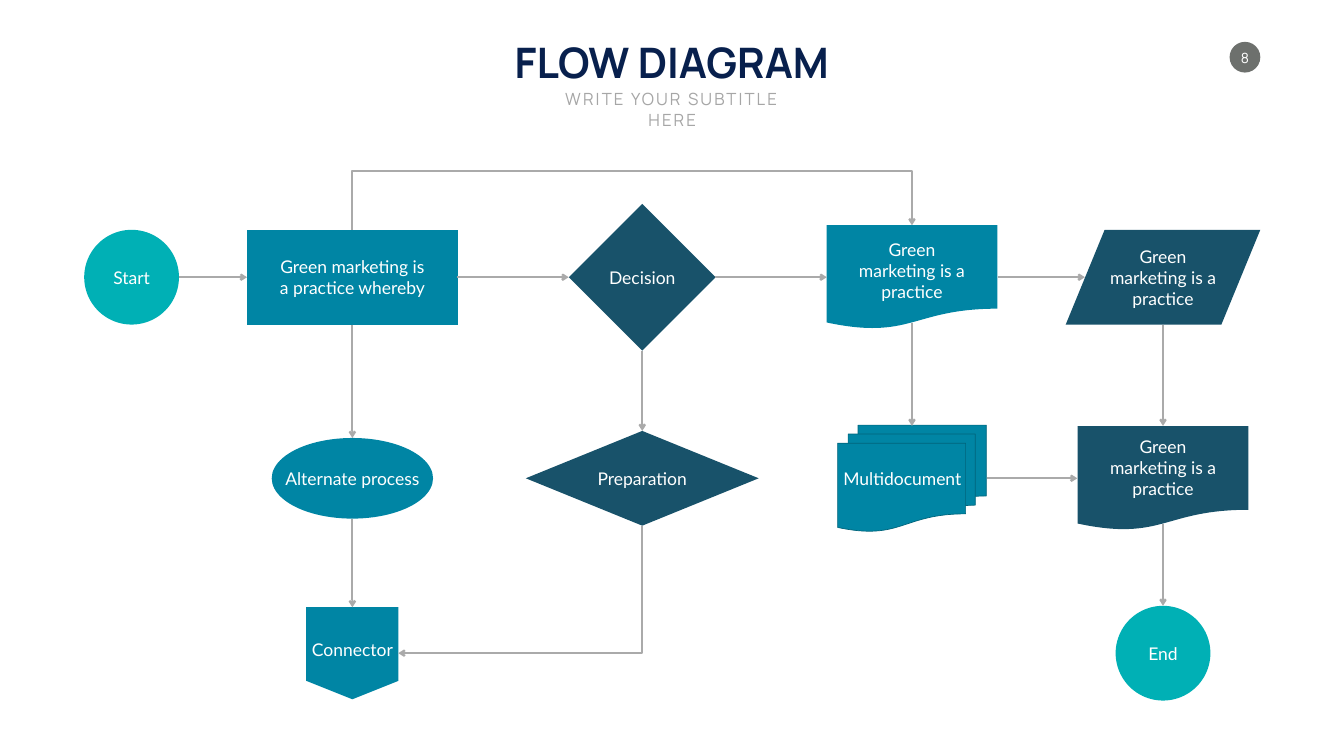
from lxml import etree
from pptx import Presentation
from pptx.dml.color import RGBColor
from pptx.enum.shapes import MSO_CONNECTOR, MSO_SHAPE
from pptx.enum.text import MSO_ANCHOR, MSO_AUTO_SIZE, PP_ALIGN
from pptx.oxml.ns import qn
from pptx.util import Emu, Pt

SCALE = 9144
TITLE_ONLY = 5

CIRCLE = MSO_SHAPE.FLOWCHART_CONNECTOR
DECISION = MSO_SHAPE.FLOWCHART_DECISION
DOCUMENT = MSO_SHAPE.FLOWCHART_DOCUMENT
MULTIDOCUMENT = MSO_SHAPE.FLOWCHART_MULTIDOCUMENT
PROCESS = MSO_SHAPE.FLOWCHART_PROCESS
OFFPAGE = MSO_SHAPE.FLOWCHART_OFFPAGE_CONNECTOR
DATA = MSO_SHAPE.FLOWCHART_DATA
OVAL = MSO_SHAPE.OVAL
STRAIGHT = MSO_CONNECTOR.STRAIGHT
ELBOW = MSO_CONNECTOR.ELBOW
TOP = MSO_ANCHOR.TOP
MIDDLE = MSO_ANCHOR.MIDDLE
CENTER = PP_ALIGN.CENTER
GROW = MSO_AUTO_SIZE.SHAPE_TO_FIT_TEXT

WHITE = RGBColor(0xFF, 0xFF, 0xFF)
NAVY = RGBColor(0x08, 0x20, 0x4D)
SUBTITLE_GRAY = RGBColor(0xA6, 0xA6, 0xA6)
ARROW_GRAY = RGBColor(0xAA, 0xAA, 0xAA)
BADGE_GRAY = RGBColor(0x6D, 0x70, 0x6D)
TURQUOISE = RGBColor(0x00, 0xB0, 0xB5)
BLUE = RGBColor(0x00, 0x85, 0xA4)
BLUE_EDGE = RGBColor(0x00, 0x64, 0x7B)
DEEP_BLUE = RGBColor(0x18, 0x52, 0x6A)

COLUMNS = (94, 532, 1107, 1642, 2140)
ROWS = (210, 609, 956)
PHRASE = "Green marketing is a practice"

# preset, column, row, size, colour, text, label size, label shift
NODES = (
    (CIRCLE, 0, 0, (188, 188), TURQUOISE, "Start", (94, 52), (0, 0)),
    (DECISION, 2, 0, (291, 291), DEEP_BLUE, "Decision", (194, 52), (0, 0)),
    (DECISION, 2, 1, (462, 188), DEEP_BLUE, "Preparation", (291, 52), (0, 0)),
    (DOCUMENT, 3, 0, (339, 207), BLUE, PHRASE, (261, 136), (0, -14)),
    (MULTIDOCUMENT, 3, 1, (295, 211), BLUE, "Multidocument", (261, 52), (-19, 0)),
    (PROCESS, 1, 0, (418, 188), BLUE, "Green marketing is a practice whereby",
     (323, 94), (0, 0)),
    (CIRCLE, 1, 1, (320, 160), BLUE, "Alternate process", (291, 52), (0, 0)),
    (OFFPAGE, 1, 2, (183, 183), BLUE, "Connector", (194, 52), (0, -7)),
    (DATA, 4, 0, (386, 188), DEEP_BLUE, PHRASE, (261, 136), (0, 0)),
    (DOCUMENT, 4, 1, (339, 207), DEEP_BLUE, PHRASE, (261, 136), (0, -22)),
    (CIRCLE, 4, 2, (188, 188), TURQUOISE, "End", (81, 52), (0, 0)),
)
DOWN_ARROWS = ((1, 304, 529), (1, 689, 865), (2, 356, 515),
               (3, 300, 505), (4, 304, 505), (4, 699, 862))
RIGHT_ARROWS = ((0, 188, 323), (0, 740, 961), (0, 1252, 1473),
                (0, 1812, 1985), (1, 1790, 1970))


def px(*lengths):
    """Turn px lengths into EMU."""
    return [Emu(round(length * SCALE)) for length in lengths]


def add_shape(slide, preset, box, colour):
    """Add a flat preset shape without an outline."""
    shape = slide.shapes.add_shape(preset, *px(*box))
    shape.shadow.inherit = False
    shape.fill.solid()
    shape.fill.fore_color.rgb = colour
    shape.line.fill.background()
    return shape


def write_text(shape, text, size, font_name, colour, anchor, wrap):
    """Write one centred run in a shape and return the run."""
    frame = shape.text_frame
    frame.word_wrap = wrap
    frame.auto_size = GROW
    frame.vertical_anchor = anchor
    paragraph = frame.paragraphs[0]
    paragraph.alignment = CENTER
    run = paragraph.add_run()
    run.text = text
    run.font.size = Pt(size)
    run.font.name = font_name
    run.font.color.rgb = colour
    return run


def add_arrow(slide, kind, begin, end):
    """Add a gray connector with an arrowhead at its end."""
    connector = slide.shapes.add_connector(kind, *px(*begin, *end))
    connector.line.color.rgb = ARROW_GRAY
    connector.line.width = Pt(3)
    properties = connector._element.spPr
    etree.SubElement(properties.find(qn("a:ln")), qn("a:tailEnd"), type="arrow")
    etree.SubElement(properties, qn("a:effectLst"))
    return connector


def add_turned_elbow(slide, begin, end, preset, bend=None):
    """Add an elbow arrow turned by 90 degrees, so it leaves vertically."""
    middle_x, middle_y = (begin[0] + end[0]) / 2, (begin[1] + end[1]) / 2
    half_x, half_y = (end[1] - begin[1]) / 2, (begin[0] - end[0]) / 2
    connector = add_arrow(slide, ELBOW, (middle_x - half_x, middle_y - half_y),
                          (middle_x + half_x, middle_y + half_y))
    properties = connector._element.spPr
    properties.find(qn("a:xfrm")).set("rot", "5400000")
    geometry = properties.find(qn("a:prstGeom"))
    geometry.set("prst", preset)
    if bend is not None:
        etree.SubElement(geometry.find(qn("a:avLst")), qn("a:gd"),
                         name="adj1", fmla=f"val {round(bend * 100000)}")


def add_header(slide, left, top, width):
    """Place the title and the subtitle below it."""
    title = slide.shapes.title
    title.left, title.top, title.width, title.height = px(left, top, width, 111)
    run = write_text(title, "FLOW DIAGRAM", 60, "Manrope", NAVY, TOP, False)
    run.font.bold = True
    subtitle = slide.shapes.add_textbox(*px(left + 72, top + 105, width - 142, 50))
    run = write_text(subtitle, "WRITE YOUR SUBTITLE HERE", 24, "Manrope",
                     SUBTITLE_GRAY, TOP, True)
    run._r.get_or_add_rPr().set("spc", "300")


def add_page_badge(slide, left, top, size):
    """Place the page number on a round badge."""
    add_shape(slide, OVAL, (left, top, size, size), BADGE_GRAY)
    number = slide.shapes.add_textbox(*px(left + 10, top + 14, size - 20, 34))
    frame = number.text_frame
    frame.margin_left = frame.margin_right = 0
    frame.margin_top = frame.margin_bottom = 0
    write_text(number, "8", 20, "Manrope", WHITE, MIDDLE, False)


def add_flow(slide, left, top):
    """Place the nodes, the arrows and the labels of the flow."""
    xs = [left + column for column in COLUMNS]
    ys = [top + row for row in ROWS]
    for preset, column, row, (width, height), colour, *_ in NODES:
        box = (xs[column] - width / 2, ys[row] - height / 2, width, height)
        shape = add_shape(slide, preset, box, colour)
        if preset == MULTIDOCUMENT:
            shape.line.color.rgb = BLUE_EDGE
            shape.line.width = Pt(1)

    for column, start, stop in DOWN_ARROWS:
        add_arrow(slide, STRAIGHT, (xs[column], top + start), (xs[column], top + stop))
    for row, start, stop in RIGHT_ARROWS:
        add_arrow(slide, STRAIGHT, (left + start, ys[row]), (left + stop, ys[row]))
    add_turned_elbow(slide, (xs[2], top + 703), (left + 623, ys[2]), "bentConnector2")
    add_turned_elbow(slide, (xs[1], top + 116), (xs[3], top + 107),
                     "bentConnector3", 116 / 9)

    for _, column, row, _, _, text, (width, height), (shift_x, shift_y) in NODES:
        label = slide.shapes.add_textbox(*px(
            xs[column] + shift_x - width / 2, ys[row] + shift_y - height / 2,
            width, height))
        write_text(label, text, 25, "Lato", WHITE, MIDDLE, height > 52)


def main():
    """Build the flow diagram slide and save it."""
    presentation = Presentation()
    presentation.slide_width, presentation.slide_height = px(2666, 1500)
    slide = presentation.slides.add_slide(presentation.slide_layouts[TITLE_ONLY])
    add_page_badge(slide, 2439, 83, 61)
    add_header(slide, 990, 67, 685)
    add_flow(slide, 167, 340)
    presentation.save("out.pptx")


if __name__ == "__main__":
    main()
